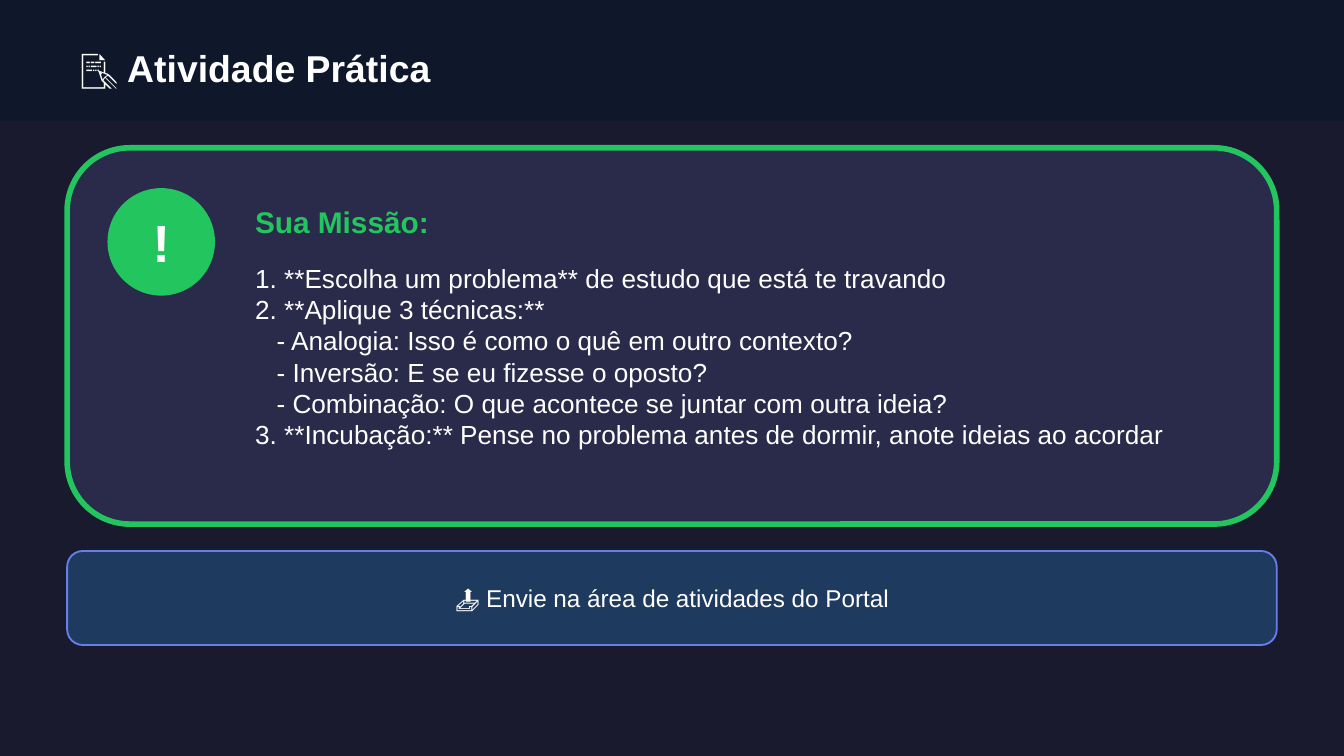
from pptx import Presentation
from pptx.dml.color import RGBColor
from pptx.enum.shapes import MSO_SHAPE as Shape
from pptx.enum.text import MSO_ANCHOR as Anchor, PP_ALIGN as Align
from pptx.util import Inches, Pt

COLORS = {
    "page": "1A1A2E",
    "header": "0F172A",
    "card": "2A2A4A",
    "green": "22C55E",
    "notice": "1E3A5F",
    "border": "667EEA",
    "white": "FFFFFF",
}
FONT = "Arial"
PAGE_WIDTH = 10
PAGE_HEIGHT = PAGE_WIDTH * 9 / 16
STEP_INDENT = 0.16
MISSION = [
    (0, "1. **Escolha um problema** de estudo que está te travando"),
    (0, "2. **Aplique 3 técnicas:**"),
    (1, "- Analogia: Isso é como o quê em outro contexto?"),
    (1, "- Inversão: E se eu fizesse o oposto?"),
    (1, "- Combinação: O que acontece se juntar com outra ideia?"),
    (0, "3. **Incubação:** Pense no problema antes de dormir, anote ideias ao acordar"),
]


class SlideBuilder:
    """Holds the style and the current slide, and adds each kind of element."""

    def __init__(self, deck):
        self.page = deck.slides.add_slide(deck.slide_layouts[6])
        self.paint(self.page.background.fill, "page")

    def paint(self, fill, color):
        fill.solid()
        fill.fore_color.rgb = RGBColor.from_string(COLORS[color])

    def panel(self, kind, left, top, width, height, color, border=None, weight=1):
        panel = self.page.shapes.add_shape(
            kind, Inches(left), Inches(top), Inches(width), Inches(height))
        panel.shadow.inherit = False
        self.paint(panel.fill, color)
        if border:
            self.paint(panel.line.fill, border)
            panel.line.width = Pt(weight)
        else:
            panel.line.fill.background()

    def text(self, content, left, top, width, height, size, color="white",
             bold=False, align=Align.LEFT, anchor=Anchor.MIDDLE):
        box = self.page.shapes.add_textbox(
            Inches(left), Inches(top), Inches(width), Inches(height))
        frame = box.text_frame
        frame.word_wrap = True
        frame.vertical_anchor = anchor
        frame.text = content
        for para in frame.paragraphs:
            para.alignment = align
            for span in para.runs:
                span.font.name = FONT
                span.font.size = Pt(size)
                span.font.bold = bold
                span.font.color.rgb = RGBColor.from_string(COLORS[color])
        return frame

    def steps(self, items, left, top, width, height, size):
        content = "\n".join(words for _, words in items)
        frame = self.text(content, left, top, width, height, size, anchor=Anchor.TOP)
        for para, (level, _) in zip(frame.paragraphs, items):
            if level:
                para._p.get_or_add_pPr().set("marL", str(Inches(STEP_INDENT * level)))


def main():
    deck = Presentation()
    deck.slide_width, deck.slide_height = Inches(PAGE_WIDTH), Inches(PAGE_HEIGHT)
    builder = SlideBuilder(deck)

    builder.panel(Shape.RECTANGLE, 0, 0, PAGE_WIDTH, 0.9, "header")
    builder.text("📝 Atividade Prática", 0.5, 0.25, 9, 0.5, 20, bold=True)

    builder.panel(Shape.ROUNDED_RECTANGLE, 0.5, 1.1, 9, 2.8, "card", "green", 3)
    builder.panel(Shape.OVAL, 0.8, 1.4, 0.8, 0.8, "green")
    builder.text("!", 0.8, 1.5, 0.8, 0.6, 28, bold=True, align=Align.CENTER)
    builder.text("Sua Missão:", 1.8, 1.4, 7.5, 0.5, 16, "green", bold=True)
    builder.steps(MISSION, 1.8, 1.9, 7.4, 1.8, 14)

    builder.panel(Shape.ROUNDED_RECTANGLE, 0.5, 4.1, 9, 0.7, "notice", "border")
    builder.text("📤 Envie na área de atividades do Portal", 0.5, 4.25, 9, 0.4, 13,
                 align=Align.CENTER)

    deck.save("out.pptx")


if __name__ == "__main__":
    main()
